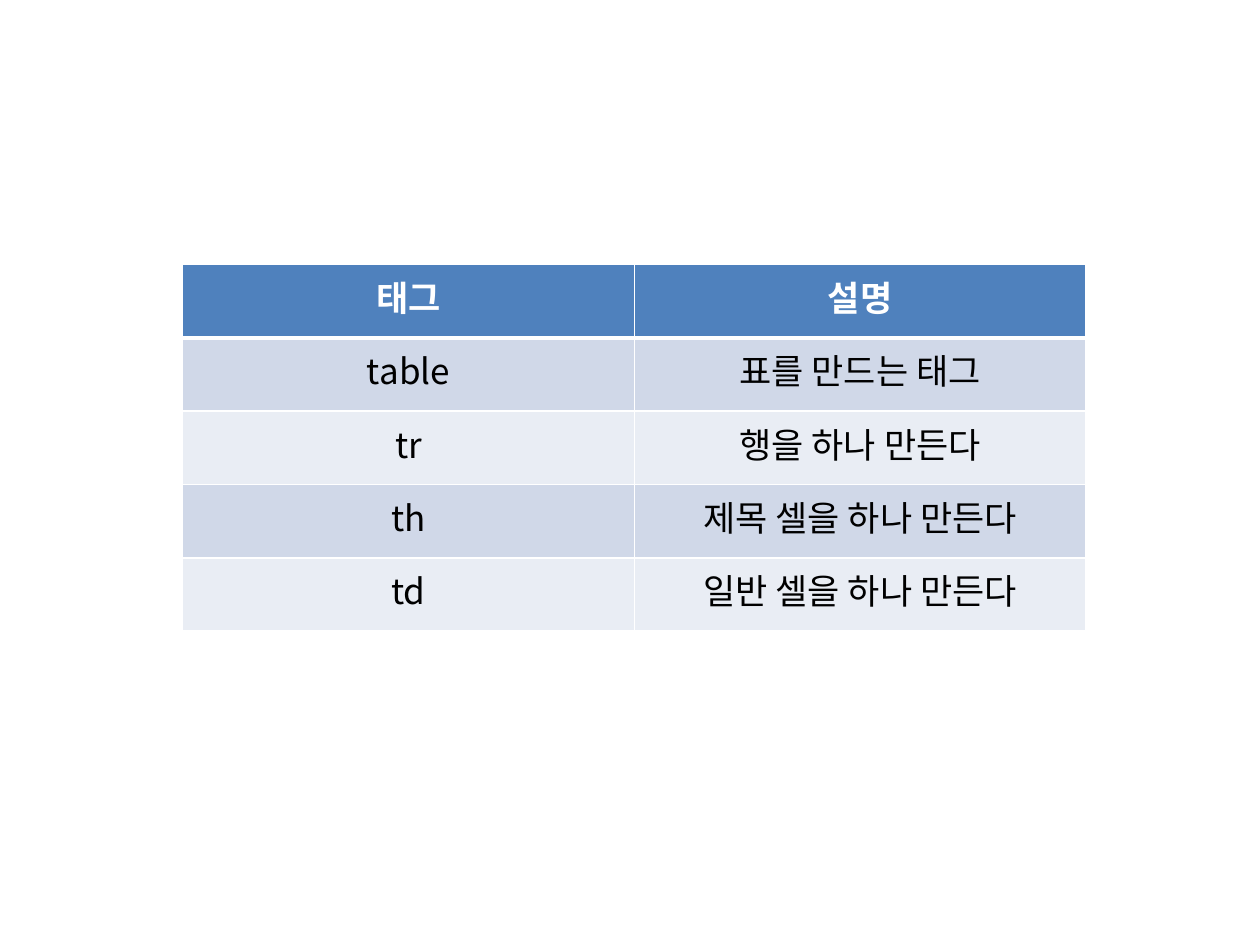
"""Build a slide with a table of HTML table tags."""
from lxml.etree import SubElement
from pptx import Presentation
from pptx.dml.color import RGBColor
from pptx.enum.text import PP_ALIGN
from pptx.oxml.ns import qn
from pptx.util import Inches, Pt

FONT = "Noto Sans CJK KR"
COLORS = {
    "header": "4F81BD",
    "odd": "D0D8E8",
    "even": "E9EDF4",
    "white": "FFFFFF",
    "black": "000000",
}
ROWS = [
    ("태그", "설명"),
    ("table", "표를 만드는 태그"),
    ("tr", "행을 하나 만든다"),
    ("th", "제목 셀을 하나 만든다"),
    ("td", "일반 셀을 하나 만든다"),
]


def add_border(cell, side, width):
    line = SubElement(cell._tc.get_or_add_tcPr(), qn(f"a:ln{side}"), w=str(Pt(width)))
    fill = SubElement(line, qn("a:solidFill"))
    SubElement(fill, qn("a:srgbClr"), val=COLORS["white"])


deck = Presentation()
deck.slide_width, deck.slide_height = Inches(10), Inches(7.5)
page = deck.slides.add_slide(deck.slide_layouts[6])

table = page.shapes.add_table(
    len(ROWS), 2, Inches(1.45), Inches(2.1), Inches(7.17), Inches(2.91)
).table
for row_index, texts in enumerate(ROWS):
    is_header = row_index == 0
    band = "header" if is_header else "odd" if row_index % 2 else "even"
    for column_index, text in enumerate(texts):
        cell = table.cell(row_index, column_index)
        for side in "LRTB":
            touches_header = (row_index, side) in [(0, "B"), (1, "T")]
            add_border(cell, side, 3 if touches_header else 1)
        cell.fill.solid()
        cell.fill.fore_color.rgb = RGBColor.from_string(COLORS[band])
        cell.text_frame.text = text
        para = cell.text_frame.paragraphs[0]
        para.alignment = PP_ALIGN.CENTER
        span = para.runs[0]
        span.font.size = Pt(20)
        span.font.bold = is_header
        span.font.name = FONT
        text_color = COLORS["white" if is_header else "black"]
        span.font.color.rgb = RGBColor.from_string(text_color)
        SubElement(span.font._element, qn("a:ea"), typeface=FONT)

deck.save("out.pptx")
